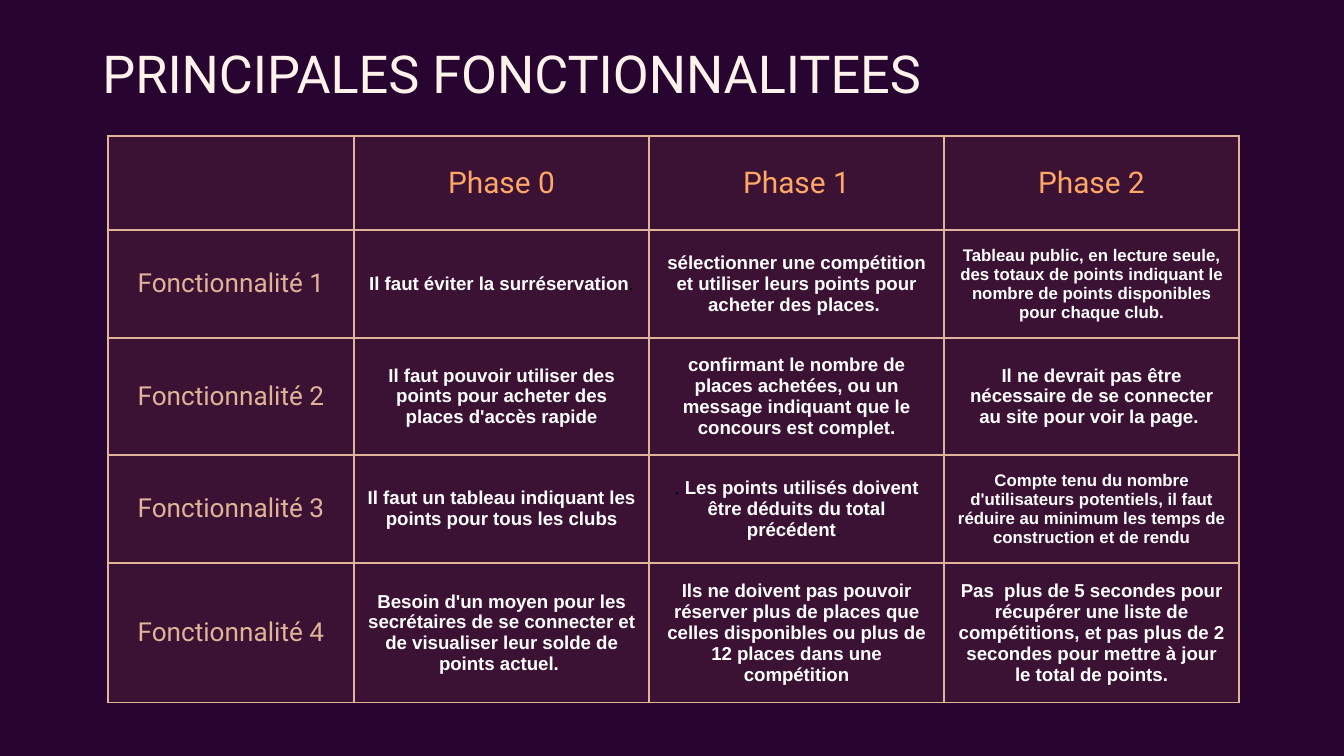
from lxml.etree import SubElement
from pptx import Presentation
from pptx.dml.color import RGBColor
from pptx.enum.text import MSO_ANCHOR, MSO_AUTO_SIZE, PP_ALIGN
from pptx.oxml.ns import qn
from pptx.util import Emu, Inches, Pt

PX = 914400 / 134.4
COLORS = {
    "background": "280430",
    "title": "FFF2EB",
    "orange": "FFA766",
    "sand": "E0B499",
    "white": "FFFFFF",
    "black": "000000",
}
COLUMN_WIDTHS = [246, 295, 295, 295]
ROW_HEIGHTS = [94, 108, 117, 108, 140]
BORDER_WIDTH = Pt(0.75)
FILL_ALPHA = "9000"
SMALL_CELLS = {(1, 3), (3, 3)}

# Each cell is a list of runs; runs holding only a full stop are black.
ROWS = [
    [[], ["Phase 0"], ["Phase 1"], ["Phase 2"]],
    [
        ["Fonctionnalité 1"],
        ["Il faut éviter la surréservation", "."],
        ["sélectionner une compétition et utiliser leurs points pour acheter des places. "],
        ["Tableau public, en lecture seule, des totaux de points indiquant le nombre "
         "de points disponibles pour chaque club."],
    ],
    [
        ["Fonctionnalité 2"],
        ["Il faut pouvoir utiliser des points pour acheter des places d'accès rapide"],
        ["confirmant le nombre de places achetées, ou un message indiquant que le "
         "concours est complet."],
        ["Il ne devrait pas être nécessaire de se connecter au site pour voir la page. "],
    ],
    [
        ["Fonctionnalité 3"],
        ["Il faut un tableau indiquant les points pour tous les clubs"],
        [". ", "Les points utilisés doivent être déduits du total précédent", ". "],
        ["Compte tenu du nombre d'utilisateurs potentiels, il faut réduire au minimum "
         "les temps de construction et de rendu"],
    ],
    [
        ["Fonctionnalité 4"],
        ["Besoin d'un moyen pour les secrétaires de se connecter et de visualiser "
         "leur solde de points actuel. "],
        ["Ils ne doivent pas pouvoir réserver plus de places que celles disponibles "
         "ou plus de 12 places dans une compétition"],
        ["Pas  plus de 5 secondes pour récupérer une liste de compétitions, et pas "
         "plus de 2 secondes pour mettre à jour le total de points."],
    ],
]


def px(value):
    return Emu(round(value * PX))


def format_span(span, font, size, color, bold=False):
    span.font.name = font
    span.font.size = Pt(size)
    span.font.bold = bold
    span.font.color.rgb = RGBColor.from_string(COLORS[color])


deck = Presentation()
deck.slide_width, deck.slide_height = px(1344), px(756)
page = deck.slides.add_slide(deck.slide_layouts[5])
page.background.fill.solid()
page.background.fill.fore_color.rgb = RGBColor.from_string(COLORS["background"])

# Title
title = page.shapes.title
title.left, title.top, title.width, title.height = px(89), px(31), px(1133), px(83)
frame = title.text_frame
frame.text = "PRINCIPALES FONCTIONNALITEES"
frame.auto_size = MSO_AUTO_SIZE.NONE
frame.vertical_anchor = MSO_ANCHOR.MIDDLE
frame.margin_left = frame.margin_right = Inches(0.1)
frame.margin_top = frame.margin_bottom = Inches(0.1)
frame.paragraphs[0].alignment = PP_ALIGN.LEFT
format_span(frame.paragraphs[0].runs[0], "Roboto", 28, "title")

# Feature table
table = page.shapes.add_table(
    len(ROWS), len(COLUMN_WIDTHS), px(108), px(136),
    px(sum(COLUMN_WIDTHS)), px(sum(ROW_HEIGHTS)),
).table
table.first_row = False
table.horz_banding = False
for column, width in zip(table.columns, COLUMN_WIDTHS):
    column.width = px(width)
for row, height in zip(table.rows, ROW_HEIGHTS):
    row.height = px(height)

for row_index, row_texts in enumerate(ROWS):
    for column_index, texts in enumerate(row_texts):
        cell = table.cell(row_index, column_index)
        cell.vertical_anchor = MSO_ANCHOR.MIDDLE
        cell.margin_left = cell.margin_right = Inches(0.1)
        cell.margin_top = cell.margin_bottom = Inches(0.1)

        properties = cell._tc.get_or_add_tcPr()
        for side in ("a:lnL", "a:lnR", "a:lnT", "a:lnB"):
            border = SubElement(properties, qn(side), w=str(BORDER_WIDTH))
            border_fill = SubElement(border, qn("a:solidFill"))
            SubElement(border_fill, qn("a:srgbClr"), val=COLORS["sand"])
        cell.fill.solid()
        cell.fill.fore_color.rgb = RGBColor.from_string(COLORS["orange"])
        fill_color = properties.find(qn("a:solidFill")).find(qn("a:srgbClr"))
        SubElement(fill_color, qn("a:alpha"), val=FILL_ALPHA)

        para = cell.text_frame.paragraphs[0]
        para.alignment = PP_ALIGN.CENTER
        for text in texts:
            span = para.add_run()
            span.text = text
            if row_index == 0:
                format_span(span, "Roboto", 16, "orange")
            elif column_index == 0:
                format_span(span, "Roboto", 14, "sand")
            elif text.strip() == ".":
                format_span(span, "Arial", 10, "black")
            else:
                size = 9 if (row_index, column_index) in SMALL_CELLS else 10
                format_span(span, "Arial", size, "white", bold=True)

deck.save("out.pptx")
